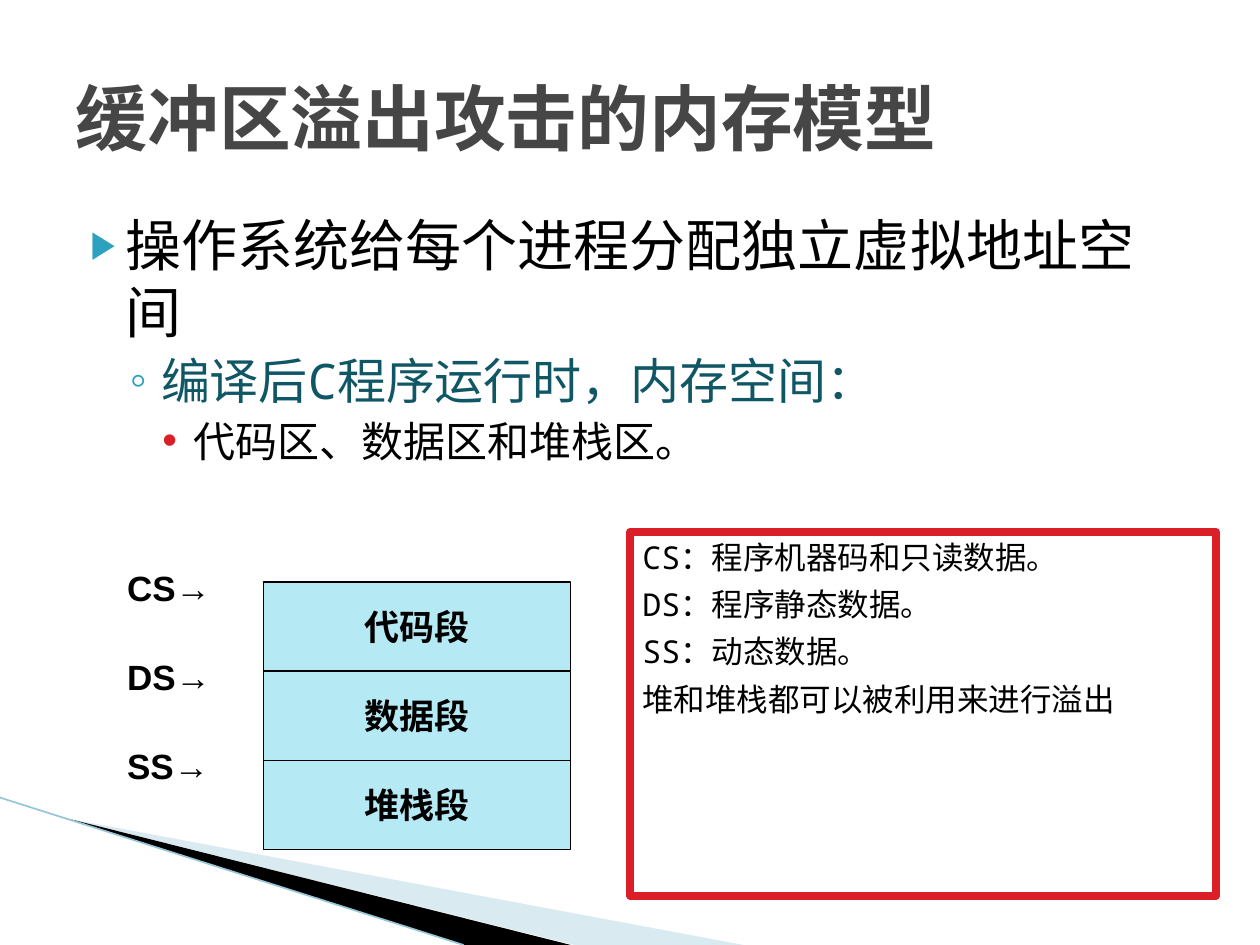
from lxml import etree
from pptx import Presentation
from pptx.dml.color import RGBColor
from pptx.enum.shapes import MSO_CONNECTOR, MSO_SHAPE
from pptx.enum.text import MSO_ANCHOR, PP_ALIGN
from pptx.oxml.ns import qn
from pptx.util import Inches, Pt

LEFT, CENTER = PP_ALIGN.LEFT, PP_ALIGN.CENTER
TOP, MIDDLE = MSO_ANCHOR.TOP, MSO_ANCHOR.MIDDLE
RECTANGLE, STRAIGHT = MSO_SHAPE.RECTANGLE, MSO_CONNECTOR.STRAIGHT

BLACK = RGBColor(0x00, 0x00, 0x00)
WHITE = RGBColor(0xFF, 0xFF, 0xFF)
TITLE_GRAY = RGBColor(0x46, 0x46, 0x46)
DARK_TEAL = RGBColor(0x10, 0x57, 0x66)
TEAL = RGBColor(0x2D, 0xA2, 0xBF)
RED = RGBColor(0xDA, 0x1F, 0x28)
SEGMENT_BLUE = RGBColor(0xB5, 0xE9, 0xF4)
WEDGE_BLUE = RGBColor(0xA0, 0xCB, 0xDC)
EDGE_BLUE = RGBColor(0x97, 0xC5, 0xD8)

MONO, SANS = "Noto Sans Mono", "Arial"


def write_text(paragraph, text, size, font=MONO, color=BLACK, bold=False,
               align=LEFT, space_before=0):
    paragraph.text = text
    paragraph.alignment = align
    paragraph.space_before = Pt(space_before)
    paragraph.font.size = Pt(size)
    paragraph.font.name = font
    paragraph.font.bold = bold
    paragraph.font.color.rgb = color


def add_bullet(paragraph, character, color, margin, indent, percent=100):
    properties = paragraph._p.get_or_add_pPr()
    properties.set("marL", str(Inches(margin)))
    properties.set("indent", str(Inches(indent)))
    bullet_color = etree.SubElement(properties, qn("a:buClr"))
    etree.SubElement(bullet_color, qn("a:srgbClr"), val=str(color))
    etree.SubElement(properties, qn("a:buSzPct"), val=str(percent * 1000))
    etree.SubElement(properties, qn("a:buFont"), typeface=SANS)
    etree.SubElement(properties, qn("a:buChar"), char=character)


def add_rectangle(slide, left, top, width, height, fill, line, line_width):
    shape = slide.shapes.add_shape(
        RECTANGLE, Inches(left), Inches(top), Inches(width), Inches(height))
    shape.shadow.inherit = False
    shape.fill.solid()
    shape.fill.fore_color.rgb = fill
    shape.line.color.rgb = line
    shape.line.width = Pt(line_width)
    return shape


def add_wedge(slide, points, color, opacity=100):
    start, *others = [(Inches(x), Inches(y)) for x, y in points]
    builder = slide.shapes.build_freeform(*start)
    builder.add_line_segments(others, close=True)
    wedge = builder.convert_to_shape()
    wedge.shadow.inherit = False
    wedge.fill.solid()
    wedge.fill.fore_color.rgb = color
    wedge.line.fill.background()
    if opacity < 100:
        color_element = wedge._element.spPr.find(qn("a:solidFill"))[0]
        etree.SubElement(color_element, qn("a:alpha"), val=str(opacity * 1000))


def add_corner_decoration(slide, left, top, bottom):
    """Draw the wedges that fan out from the left edge to the slide's foot."""
    tip = (left + 0.55, top + 0.17)
    add_wedge(slide, [tip, (5.9, bottom), (4.56, bottom)], WEDGE_BLUE, 40)
    add_wedge(slide, [tip, (4.53, bottom), (3.68, bottom)], BLACK)
    edge = slide.shapes.add_connector(
        STRAIGHT, Inches(left), Inches(top), Inches(3.68), Inches(bottom))
    edge.line.color.rgb = EDGE_BLUE
    edge.line.width = Pt(0.95)
    etree.SubElement(edge._element.spPr, qn("a:effectLst"))


def place_title(slide, left, top, width, height):
    title = slide.shapes.title
    title.left, title.top = Inches(left), Inches(top)
    title.width, title.height = Inches(width), Inches(height)
    title.text_frame.vertical_anchor = MIDDLE
    write_text(title.text_frame.paragraphs[0], "缓冲区溢出攻击的内存模型", 41,
               color=TITLE_GRAY, bold=True)


def add_outline(slide, left, top, width, height):
    box = slide.shapes.add_textbox(
        Inches(left), Inches(top), Inches(width), Inches(height))
    frame = box.text_frame
    frame.word_wrap = True
    items = [
        ("操作系统给每个进程分配独立虚拟地址空间", 32, BLACK, 0, ("▶", TEAL, 0.4, -0.28, 68)),
        ("编译后C程序运行时，内存空间：", 28, DARK_TEAL, 3.2, ("◦", TEAL, 0.68, -0.25)),
        ("代码区、数据区和堆栈区。", 24, BLACK, 3.5, ("•", RED, 0.94, -0.25)),
    ]
    for level, (text, size, color, space, bullet) in enumerate(items):
        paragraph = frame.add_paragraph() if level else frame.paragraphs[0]
        paragraph.level = level
        add_bullet(paragraph, *bullet)
        write_text(paragraph, text, size, color=color, space_before=space)


def add_memory_diagram(slide, left, top, width, height):
    """Stack the memory segments, each with its register label at the left."""
    segments = [("CS→", "代码段"), ("DS→", "数据段"), ("SS→", "堆栈段")]
    label_width, label_height, label_rise = 0.95, 0.43, 0.17
    segment_left = left + 1.18
    segment_width = width - 1.18
    segment_height = height / len(segments)
    for index, (register, name) in enumerate(segments):
        segment_top = top + index * segment_height
        segment = add_rectangle(slide, segment_left, segment_top, segment_width,
                                segment_height, SEGMENT_BLUE, BLACK, 0.75)
        segment.text_frame.word_wrap = False
        segment.text_frame.vertical_anchor = MIDDLE
        write_text(segment.text_frame.paragraphs[0], name, 20, font=SANS,
                   bold=True, align=CENTER)
        label = slide.shapes.add_textbox(
            Inches(left), Inches(segment_top - label_rise),
            Inches(label_width), Inches(label_height))
        label.text_frame.word_wrap = True
        write_text(label.text_frame.paragraphs[0], register, 20, font=SANS, bold=True)


def add_register_notes(slide, left, top, width, height):
    box = add_rectangle(slide, left, top, width, height, WHITE, RED, 4.33)
    etree.SubElement(box.line._get_or_add_ln(), qn("a:round"))
    frame = box.text_frame
    frame.word_wrap = True
    frame.vertical_anchor = TOP
    notes = ["CS：程序机器码和只读数据。", "DS：程序静态数据。",
             "SS：动态数据。", "堆和堆栈都可以被利用来进行溢出"]
    for index, note in enumerate(notes):
        paragraph = frame.add_paragraph() if index else frame.paragraphs[0]
        write_text(paragraph, note, 18, space_before=5.4 if index else 0)


def main():
    presentation = Presentation()
    presentation.slide_width, presentation.slide_height = Inches(10), Inches(7.5)
    slide = presentation.slides.add_slide(presentation.slide_layouts[5])
    add_corner_decoration(slide, 0, 6.33, 7.5)
    add_outline(slide, 0.5, 1.62, 9, 4.95)
    place_title(slide, 0.5, 0.3, 9, 1.25)
    add_memory_diagram(slide, 0.91, 4.62, 3.62, 2.12)
    add_register_notes(slide, 5, 4.22, 4.65, 2.89)
    presentation.save("out.pptx")


if __name__ == "__main__":
    main()
